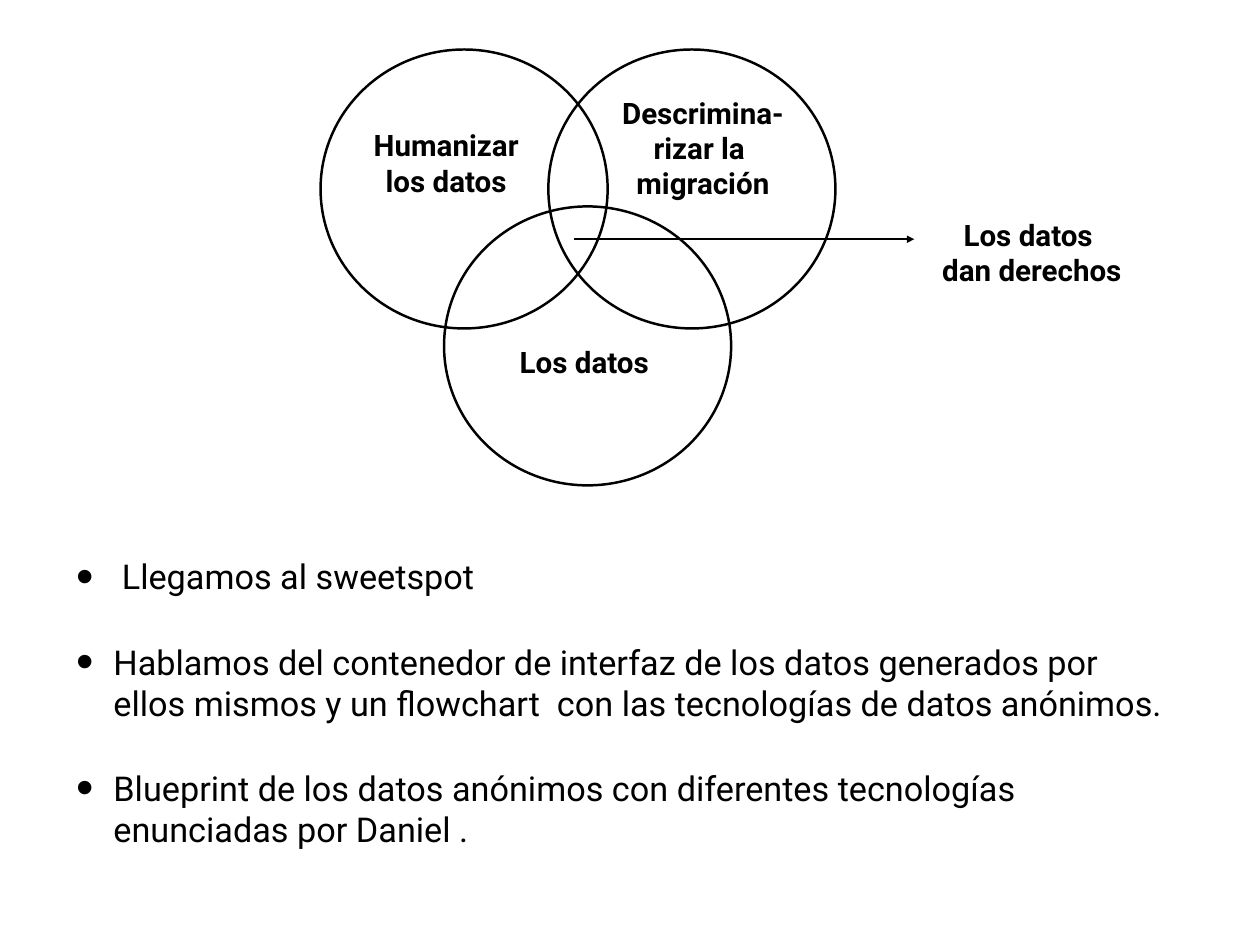
from dataclasses import dataclass

from lxml.etree import SubElement
from pptx import Presentation
from pptx.dml.color import RGBColor
from pptx.enum.shapes import MSO_CONNECTOR as Connector, MSO_SHAPE as Shape
from pptx.enum.text import MSO_ANCHOR as Anchor, MSO_AUTO_SIZE as AutoSize, PP_ALIGN as Align
from pptx.oxml.ns import qn
from pptx.util import Cm, Pt


@dataclass(frozen=True)
class Theme:
    font: str = "Roboto"
    ink: RGBColor = RGBColor(0, 0, 0)
    paper: RGBColor = RGBColor(255, 255, 255)
    label_size: float = 24
    list_size: float = 27.8
    line_width: float = 2
    list_gap: float = 36
    inset: float = 0.15


class VennSlide:
    def __init__(self, deck, theme):
        self.theme = theme
        self.slide = deck.slides.add_slide(deck.slide_layouts[1])
        fill = self.slide.background.fill
        fill.solid()
        fill.fore_color.rgb = theme.paper
        heading = self.slide.shapes.title.element
        heading.getparent().remove(heading)

    def set_margins(self, frame):
        inset = Cm(self.theme.inset)
        frame.margin_left = frame.margin_right = inset
        frame.margin_top = frame.margin_bottom = inset
        frame.vertical_anchor = Anchor.MIDDLE

    def style_runs(self, paragraph, size, bold=False):
        for run in paragraph.runs:
            run.font.name = self.theme.font
            run.font.size = Pt(size)
            run.font.bold = bold
            run.font.color.rgb = self.theme.ink

    def style_line(self, line):
        line.color.rgb = self.theme.ink
        line.width = Pt(self.theme.line_width)

    def circle(self, left, top, width, height):
        ring = self.slide.shapes.add_shape(
            Shape.OVAL, Cm(left), Cm(top), Cm(width), Cm(height))
        ring.shadow.inherit = False
        ring.fill.background()
        self.style_line(ring.line)

    def label(self, text, left, top, width, height):
        box = self.slide.shapes.add_textbox(Cm(left), Cm(top), Cm(width), Cm(height))
        frame = box.text_frame
        self.set_margins(frame)
        frame.word_wrap = False
        frame.auto_size = AutoSize.SHAPE_TO_FIT_TEXT
        frame.text = text
        for paragraph in frame.paragraphs:
            paragraph.alignment = Align.CENTER
            self.style_runs(paragraph, self.theme.label_size, bold=True)

    def arrow(self, start_x, end_x, y):
        pointer = self.slide.shapes.add_connector(
            Connector.STRAIGHT, Cm(start_x), Cm(y), Cm(end_x), Cm(y))
        self.style_line(pointer.line)
        properties = pointer.element.spPr
        SubElement(properties.find(qn("a:ln")), qn("a:tailEnd"), type="triangle")
        SubElement(properties, qn("a:effectLst"))

    def bullet_list(self, items, left, top, width, height):
        body = self.slide.placeholders[1]
        body.left, body.top = Cm(left), Cm(top)
        body.width, body.height = Cm(width), Cm(height)
        frame = body.text_frame
        self.set_margins(frame)
        frame.word_wrap = True
        frame.auto_size = AutoSize.NONE
        frame.text = "\n".join(items)
        for paragraph in frame.paragraphs:
            self.style_runs(paragraph, self.theme.list_size)
            paragraph.space_before = Pt(self.theme.list_gap)
            self.add_bullet(paragraph)

    def add_bullet(self, paragraph):
        indent = Cm(1.07)
        properties = paragraph._p.get_or_add_pPr()
        properties.set("marL", str(indent))
        properties.set("indent", str(-indent))
        SubElement(properties, qn("a:buSzPct"), val="145000")
        SubElement(properties, qn("a:buChar"), char="•")


CIRCLE_SIZE = (8.23, 8)
CIRCLE_CORNERS = [(9.19, 1.42), (15.72, 1.42), (12.73, 5.92)]

LABELS = [
    ("Humanizar\nlos datos", 10.34, 3.51, 4.9, 2.31),
    ("Descrimina-\nrizar la \nmigración", 17.42, 2.57, 5.46, 3.33),
    ("Los datos ", 14.58, 9.75, 4.55, 1.27),
    ("Los datos \ndan derechos", 26.67, 6.07, 5.82, 2.31),
]

CONCLUSIONS = [
    " Llegamos al sweetspot",
    "Hablamos del contenedor de interfaz de los datos generados por ellos mismos "
    "y un flowchart  con las tecnologías de datos anónimos.",
    "Blueprint de los datos anónimos con diferentes tecnologías enunciadas por Daniel .",
]


def main():
    deck = Presentation()
    deck.slide_width, deck.slide_height = Cm(36.12), Cm(27.1)
    venn = VennSlide(deck, Theme())
    venn.bullet_list(CONCLUSIONS, 2.03, 15.65, 31.57, 8.99)
    for corner in CIRCLE_CORNERS:
        venn.circle(*corner, *CIRCLE_SIZE)
    for label in LABELS:
        venn.label(*label)
    venn.arrow(16.46, 26.21, 6.86)
    deck.save("out.pptx")


if __name__ == "__main__":
    main()
